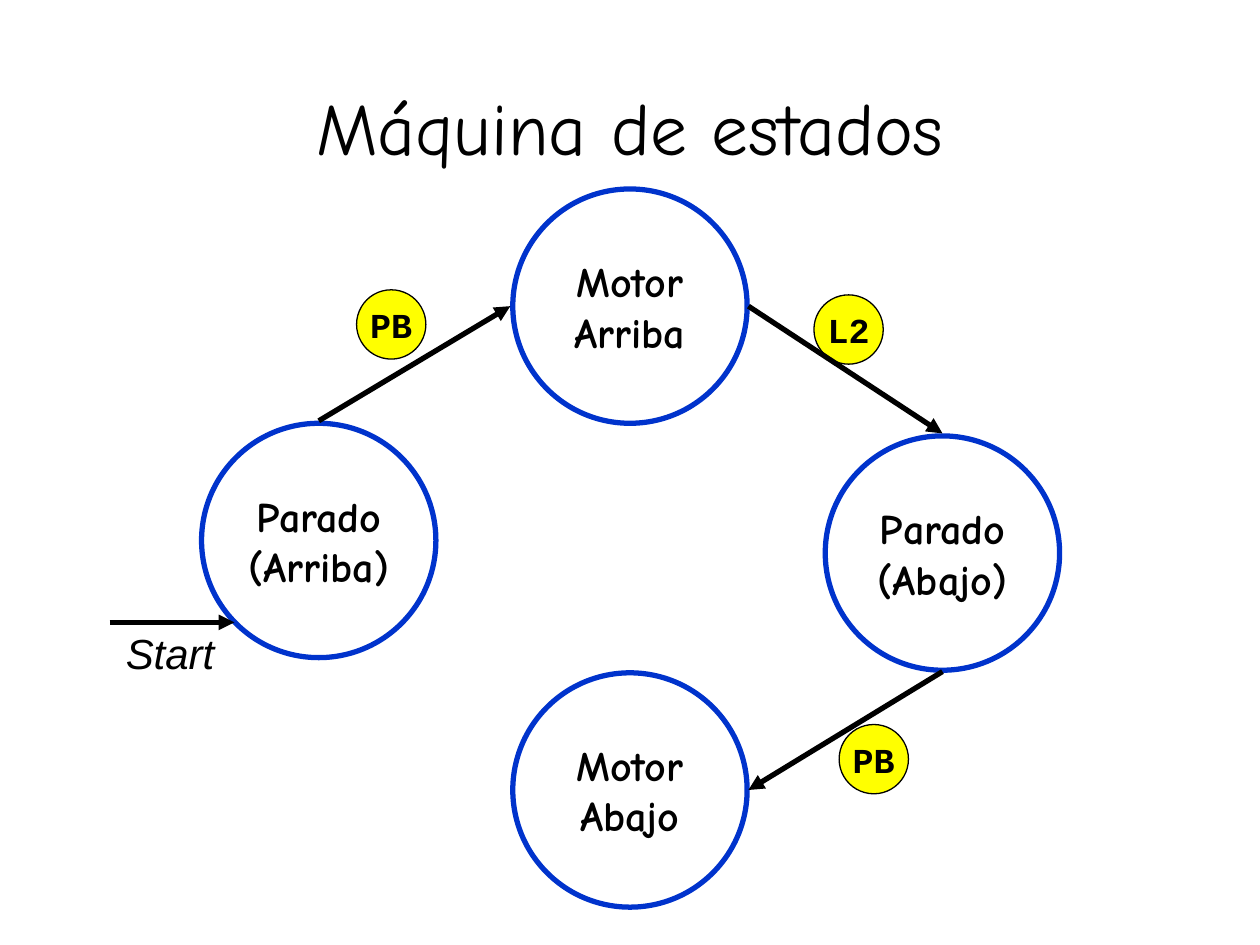
from pptx import Presentation
from pptx.dml.color import RGBColor
from pptx.enum.shapes import MSO_CONNECTOR, MSO_SHAPE
from pptx.enum.text import MSO_ANCHOR, MSO_AUTO_SIZE, PP_ALIGN
from pptx.oxml.ns import qn
from pptx.util import Inches, Pt
from lxml.etree import SubElement

# Content
TITLE = "Máquina de estados"
STATES = [  # lines of text, left, top
    (["Motor", "Arriba"], 4.07, 1.5),
    (["Motor", "Abajo"], 4.07, 5.34),
    (["Parado", "(Arriba)"], 1.6, 3.36),
    (["Parado", "(Abajo)"], 6.55, 3.46),
]
EVENTS = [("L2", 6.46, 2.34), ("PB", 6.66, 5.75), ("PB", 2.83, 2.3)]
ARROWS = [  # from x, from y, to x, to y
    (5.94, 2.43, 7.48, 3.44),
    (7.48, 5.33, 5.94, 6.27),
    (2.53, 3.34, 4.05, 2.43),
    (0.87, 4.94, 1.86, 4.94),
]

COLORS = {"ink": "000000", "state": "0033CC", "event": "FFFF00"}
STATE_SIZE, EVENT_SIZE = 1.86, 0.55
TITLE_FONT = {"name": "Comic Neue", "size": Pt(42), "bold": False}
STATE_FONT = {"name": "Comic Neue", "size": Pt(24), "bold": True}
EVENT_FONT = {"name": "Courier New", "size": Pt(20), "bold": True}
START_FONT = {"name": "Arial", "size": Pt(24), "italic": True}


def color(key):
    return RGBColor.from_string(COLORS[key])


def write(box, lines, font, align=PP_ALIGN.CENTER, anchor=MSO_ANCHOR.MIDDLE, wrap=False):
    frame = box.text_frame
    frame.auto_size = MSO_AUTO_SIZE.NONE
    frame.word_wrap = wrap
    frame.vertical_anchor = anchor
    frame.text = "\n".join(lines)
    for para in frame.paragraphs:
        para.alignment = align
        for span in para.runs:
            for key, value in font.items():
                setattr(span.font, key, value)
            span.font.color.rgb = color("ink")


def add_circle(page, lines, left, top, size, font, line, width, fill=None):
    circle = page.shapes.add_shape(
        MSO_SHAPE.OVAL, Inches(left), Inches(top), Inches(size), Inches(size))
    circle.shadow.inherit = False
    if fill:
        circle.fill.solid()
        circle.fill.fore_color.rgb = color(fill)
    else:
        circle.fill.background()
    circle.line.color.rgb = color(line)
    circle.line.width = Pt(width)
    write(circle, lines, font)


def add_arrow(page, *ends):
    arrow = page.shapes.add_connector(MSO_CONNECTOR.STRAIGHT, *map(Inches, ends))
    arrow.line.color.rgb = color("ink")
    arrow.line.width = Pt(3)
    properties = arrow.line._get_or_add_ln()
    SubElement(properties, qn("a:tailEnd"), type="triangle")
    SubElement(properties.getparent(), qn("a:effectLst"))


def main():
    deck = Presentation()
    deck.slide_width, deck.slide_height = Inches(10), Inches(7.5)
    page = deck.slides.add_slide(deck.slide_layouts[5])

    # Title
    title = page.shapes.title
    title.left, title.top = Inches(0.75), Inches(0.5)
    title.width, title.height = Inches(8.5), Inches(1)
    write(title, [TITLE], TITLE_FONT, wrap=True)

    # Events, states and transitions
    for name, left, top in EVENTS:
        add_circle(page, [name], left, top, EVENT_SIZE, EVENT_FONT, "ink", 0.75, "event")
    for lines, left, top in STATES:
        add_circle(page, lines, left, top, STATE_SIZE, STATE_FONT, "state", 3)
    for ends in ARROWS:
        add_arrow(page, *ends)

    # Start label, wide enough for one line
    start = page.shapes.add_textbox(Inches(0.9), Inches(4.93), Inches(1), Inches(0.5))
    write(start, ["Start"], START_FONT, PP_ALIGN.LEFT, MSO_ANCHOR.TOP, wrap=True)

    deck.save("out.pptx")


if __name__ == "__main__":
    main()
